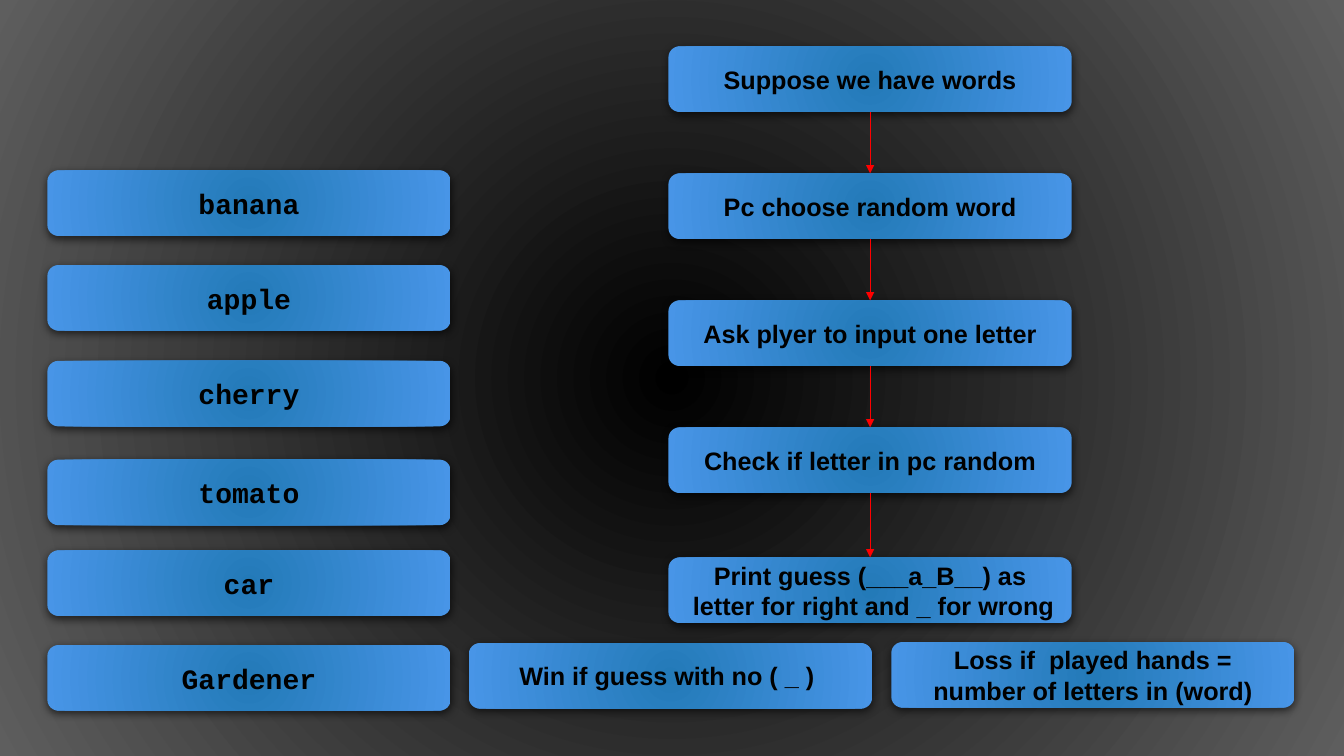
from lxml import etree
from pptx import Presentation
from pptx.dml.color import RGBColor
from pptx.enum.shapes import MSO_CONNECTOR as CONNECTOR, MSO_SHAPE as SHAPE
from pptx.enum.text import MSO_ANCHOR as ANCHOR, PP_ALIGN as ALIGN
from pptx.oxml import parse_xml
from pptx.oxml.ns import nsdecls, qn
from pptx.util import Inches, Pt

BLACK = RGBColor(0x00, 0x00, 0x00)
GREY = RGBColor(0x5E, 0x5E, 0x5E)
DEEP_BLUE = RGBColor(0x23, 0x7A, 0xB8)
LIGHT_BLUE = RGBColor(0x48, 0x95, 0xE7)
RED = RGBColor(0xFF, 0x00, 0x00)

SLIDE_WIDTH, SLIDE_HEIGHT = 13.33, 7.5
BOX_WIDTH, BOX_HEIGHT = 4, 0.65
WORDS_LEFT, STEPS_LEFT = 0.47, 6.63

WORDS = [
    (1.69, "banana"),
    (2.63, "apple"),
    (3.58, "cherry"),
    (4.56, "tomato"),
    (5.46, "car"),
    (6.4, "Gardener"),
]
STEPS = [
    (0.46, ["Suppose we have words"]),
    (1.72, ["Pc choose random word"]),
    (2.98, ["Ask plyer to input one letter"]),
    (4.24, ["Check if letter in pc random"]),
    (5.53, ["Print guess (___a_B__) as", " letter for right and _ for wrong"]),
]
OUTCOMES = [
    (4.65, 6.38, "Win if guess with no ( _ ) "),
    (8.84, 6.37, "Loss if  played hands = number of letters in (word)"),
]


def fill_radial(shape, inner, outer):
    shape.fill.gradient()
    for stop, color, position in zip(shape.fill.gradient_stops, (inner, outer), (0, 1)):
        stop.color.rgb = color
        stop.position = position
    # The public method only makes a linear gradient
    linear = shape.element.spPr.find(".//" + qn("a:lin"))
    linear.getparent().replace(linear, parse_xml(
        f'<a:path {nsdecls("a")} path="circle">'
        '<a:fillToRect l="100000" t="100000" r="100000" b="100000"/></a:path>'))


def add_soft_shadow(shape):
    shape.shadow.inherit = False
    effects = shape.element.spPr.find(qn("a:effectLst"))
    effects.append(parse_xml(
        f'<a:outerShdw {nsdecls("a")} blurRad="{Pt(6)}" dist="{Pt(2)}" '
        'dir="5400000" algn="ctr" rotWithShape="0"><a:srgbClr val="000000">'
        '<a:alpha val="60000"/></a:srgbClr></a:outerShdw>'))


def add_panel(slide, kind, left, top, width, height, inner, outer):
    panel = slide.shapes.add_shape(
        kind, Inches(left), Inches(top), Inches(width), Inches(height))
    fill_radial(panel, inner, outer)
    panel.line.fill.background()
    add_soft_shadow(panel)
    return panel


def add_box(slide, left, top, lines, font="Arial", size=18):
    box = add_panel(slide, SHAPE.ROUNDED_RECTANGLE, left, top,
                    BOX_WIDTH, BOX_HEIGHT, DEEP_BLUE, LIGHT_BLUE)
    frame = box.text_frame
    frame.word_wrap = True
    frame.vertical_anchor = ANCHOR.MIDDLE
    for index, line in enumerate(lines):
        para = frame.add_paragraph() if index else frame.paragraphs[0]
        para.alignment = ALIGN.CENTER
        span = para.add_run()
        span.text = line
        span.font.name = font
        span.font.size = Pt(size)
        span.font.bold = True
        span.font.color.rgb = BLACK
    return box


def add_arrow(slide, upper, lower):
    arrow = slide.shapes.add_connector(CONNECTOR.STRAIGHT, 0, 0, 0, 0)
    arrow.begin_connect(upper, 2)
    arrow.end_connect(lower, 0)
    arrow.line.color.rgb = RED
    arrow.line.width = Pt(0.75)
    properties = arrow.element.spPr
    etree.SubElement(properties.find(qn("a:ln")), qn("a:tailEnd"), type="triangle")
    etree.SubElement(properties, qn("a:effectLst"))


def main():
    deck = Presentation()
    deck.slide_width = Inches(SLIDE_WIDTH)
    deck.slide_height = Inches(SLIDE_HEIGHT)
    slide = deck.slides.add_slide(deck.slide_layouts[6])

    add_panel(slide, SHAPE.RECTANGLE, 0, 0, SLIDE_WIDTH, SLIDE_HEIGHT, BLACK, GREY)
    for top, word in WORDS:
        add_box(slide, WORDS_LEFT, top, [word], "Courier New", 20)
    steps = [add_box(slide, STEPS_LEFT, top, lines) for top, lines in STEPS]
    for upper, lower in zip(steps, steps[1:]):
        add_arrow(slide, upper, lower)
    for left, top, outcome in OUTCOMES:
        add_box(slide, left, top, [outcome])

    deck.save("out.pptx")


if __name__ == "__main__":
    main()
